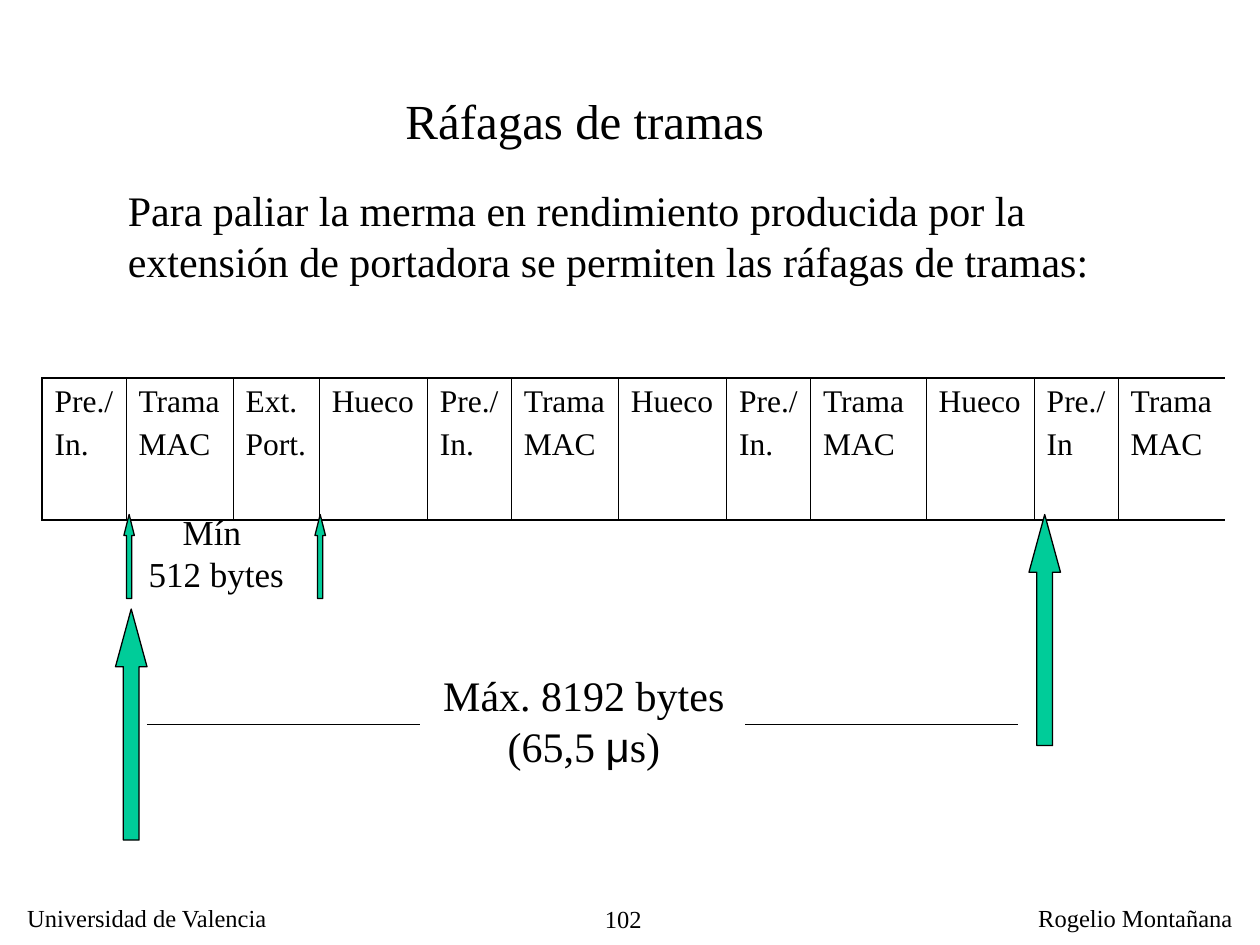
import pptx
import pptx.dml.color
import pptx.enum.shapes
import pptx.enum.text
import pptx.oxml.ns
import pptx.util
from lxml import etree

COLORS = {"ink": "000000", "arrow": "00CC99"}
FONT, SYMBOL_FONT = "Times New Roman", "Arial"
ALIGN = pptx.enum.text.PP_ALIGN

# The slide is a grid of 12 by 9 square units; every position counts units.
SLIDE_COLUMNS, SLIDE_ROWS = 12, 9
UNIT = pptx.util.Inches(10) / SLIDE_COLUMNS

# area, size, alignment, wrap, paragraphs (each a list of text and font runs)
TEXTS = [
    ((4.95, 8.55, 1.28, 0.37), 14, ALIGN.RIGHT, True, [[("102", FONT)]]),
    ((0.14, 8.54, 2.56, 0.41), 14, ALIGN.LEFT, False, [[("Universidad de Valencia", FONT)]]),
    ((9.77, 8.54, 2.09, 0.41), 14, ALIGN.LEFT, False, [[("Rogelio Montañana", FONT)]]),
    ((1.28, 4.8, 1.56, 0.92), 20, ALIGN.CENTER, False,
     [[("Mín ", FONT)], [("512 bytes", FONT)]]),
    ((3.7, 0.8, 3.74, 0.69), 28, ALIGN.CENTER, False, [[("Ráfagas de tramas", FONT)]]),
    ((4.08, 6.32, 2.96, 1.08), 24, ALIGN.CENTER, False,
     [[("Máx. 8192 bytes", FONT)],
      [("(65,5 ", FONT), ("μ", SYMBOL_FONT), ("s)", FONT)]]),
    ((1.1, 1.7, 10.1, 1.08), 24, ALIGN.LEFT, True,
     [[("Para paliar la merma en rendimiento producida por la extensión "
        "de portadora se permiten las ráfagas de tramas:", FONT)]]),
]

PREAMBLE = (0.8, ["Pre./", "In."])
FRAME = (1.02, ["Trama", "MAC"])
GAP = (1.03, ["Hueco"])
FIELDS = [
    PREAMBLE, FRAME, (0.82, ["Ext.", "Port."]), GAP,
    PREAMBLE, FRAME, GAP,
    PREAMBLE, (1.1, FRAME[1]), GAP,
    (0.8, ["Pre./", "In"]), FRAME,
]
BURST_LEFT, BURST_TOP, BURST_HEIGHT = 0.4, 3.6, 1.35
OUTER, INNER = 1.08, 0.45

SMALL_ARROW = (0.1, 0.8, 1.996)  # width, height, head length
LARGE_ARROW = (0.3, 2.2, 1.833)
ARROWS = [
    (1.18, 4.9, SMALL_ARROW), (3, 4.9, SMALL_ARROW),
    (1.1, 5.8, LARGE_ARROW), (9.8, 4.9, LARGE_ARROW),
]
SPAN_LINES = [(1.4, 4), (7.1, 9.7)]
SPAN_ROW = 6.9


def units(*values):
    return [round(value * UNIT) for value in values]


def color(name):
    return pptx.dml.color.RGBColor.from_string(COLORS[name])


def add_run(para, text, size, font):
    span = para.add_run()
    span.text = text
    span.font.size = pptx.util.Pt(size)
    span.font.name = font
    span.font.color.rgb = color("ink")


def ink_line(shape):
    shape.line.color.rgb = color("ink")
    shape.line.width = pptx.util.Pt(0.75)


def add_text(page, area, size, align, wrap, paragraphs):
    frame = page.shapes.add_textbox(*units(*area)).text_frame
    frame.word_wrap = wrap
    if not wrap:
        frame.auto_size = pptx.enum.text.MSO_AUTO_SIZE.SHAPE_TO_FIT_TEXT
    for index, runs in enumerate(paragraphs):
        para = frame.add_paragraph() if index else frame.paragraphs[0]
        para.alignment = align
        for text, font in runs:
            add_run(para, text, size, font)


def set_border(cell, side, width):
    """Draw one cell border; a width of None leaves that side open."""
    qn = pptx.oxml.ns.qn
    border = etree.SubElement(cell._tc.get_or_add_tcPr(), qn("a:ln" + side))
    if width is None:
        etree.SubElement(border, qn("a:noFill"))
        return
    border.set("w", str(pptx.util.Pt(width)))
    fill = etree.SubElement(border, qn("a:solidFill"))
    etree.SubElement(fill, qn("a:srgbClr")).set("val", COLORS["ink"])


def add_burst(page):
    total = sum(width for width, _ in FIELDS)
    area = units(BURST_LEFT, BURST_TOP, total, BURST_HEIGHT)
    table = page.shapes.add_table(1, len(FIELDS), *area).table
    table.first_row = table.horz_banding = False
    last = len(FIELDS) - 1
    for index, (width, lines) in enumerate(FIELDS):
        table.columns[index].width = units(width)[0]
        cell = table.cell(0, index)
        set_border(cell, "L", INNER if index else OUTER)
        set_border(cell, "R", INNER if index < last else None)
        set_border(cell, "T", OUTER)
        set_border(cell, "B", OUTER)
        cell.fill.background()
        for row, line in enumerate(lines):
            para = cell.text_frame.add_paragraph() if row else cell.text_frame.paragraphs[0]
            if row:
                para.space_before = pptx.util.Pt(4.5)
            add_run(para, line, 18, FONT)


def add_arrow(page, left, top, kind):
    width, height, head = kind
    arrow = page.shapes.add_shape(
        pptx.enum.shapes.MSO_SHAPE.UP_ARROW, *units(left, top, width, height))
    arrow.adjustments[0] = 0.5
    arrow.adjustments[1] = head
    arrow.shadow.inherit = False
    arrow.fill.solid()
    arrow.fill.fore_color.rgb = color("arrow")
    ink_line(arrow)


def add_span_line(page, start, end):
    line = page.shapes.add_connector(
        pptx.enum.shapes.MSO_CONNECTOR.STRAIGHT, *units(start, SPAN_ROW, end, SPAN_ROW))
    ink_line(line)
    etree.SubElement(line._element.spPr, pptx.oxml.ns.qn("a:effectLst"))


def main():
    deck = pptx.Presentation()
    deck.slide_width, deck.slide_height = units(SLIDE_COLUMNS, SLIDE_ROWS)
    page = deck.slides.add_slide(deck.slide_layouts[6])
    add_burst(page)
    for arrow in ARROWS:
        add_arrow(page, *arrow)
    for ends in SPAN_LINES:
        add_span_line(page, *ends)
    for text in TEXTS:
        add_text(page, *text)
    deck.save("out.pptx")


if __name__ == "__main__":
    main()
